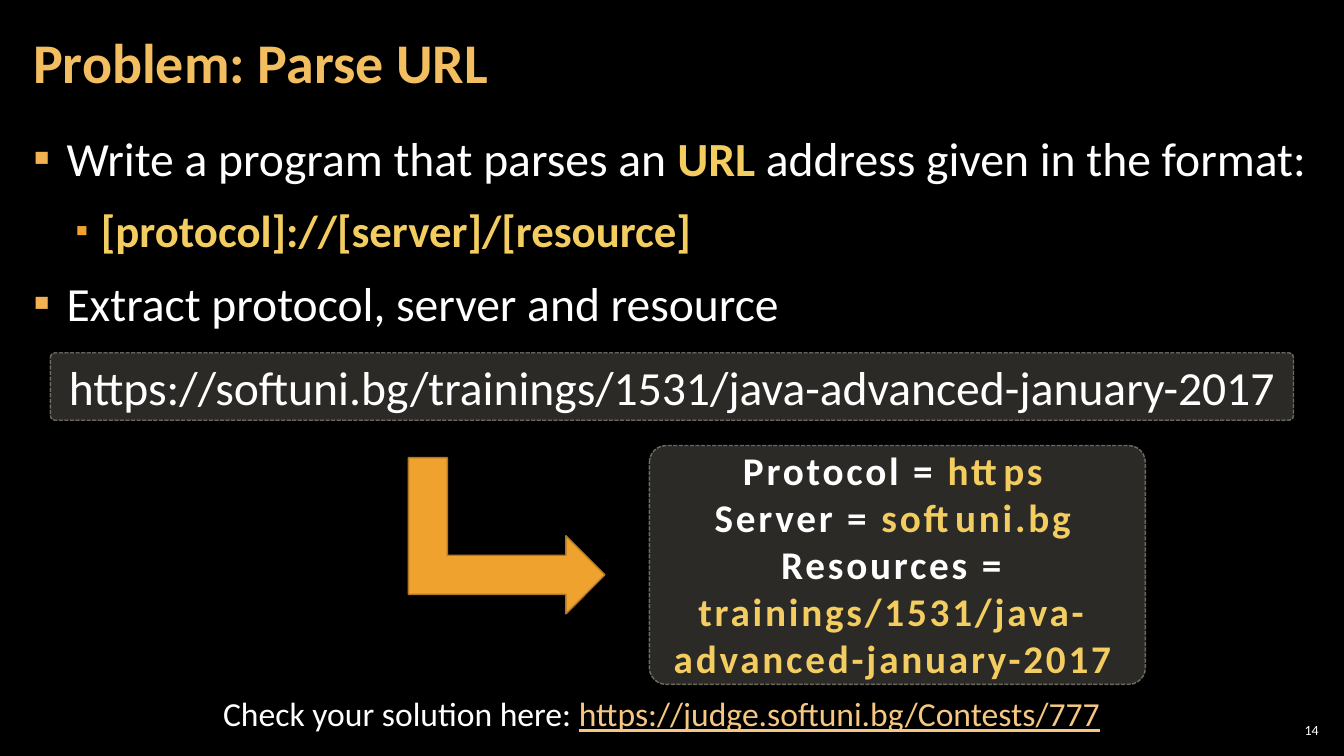
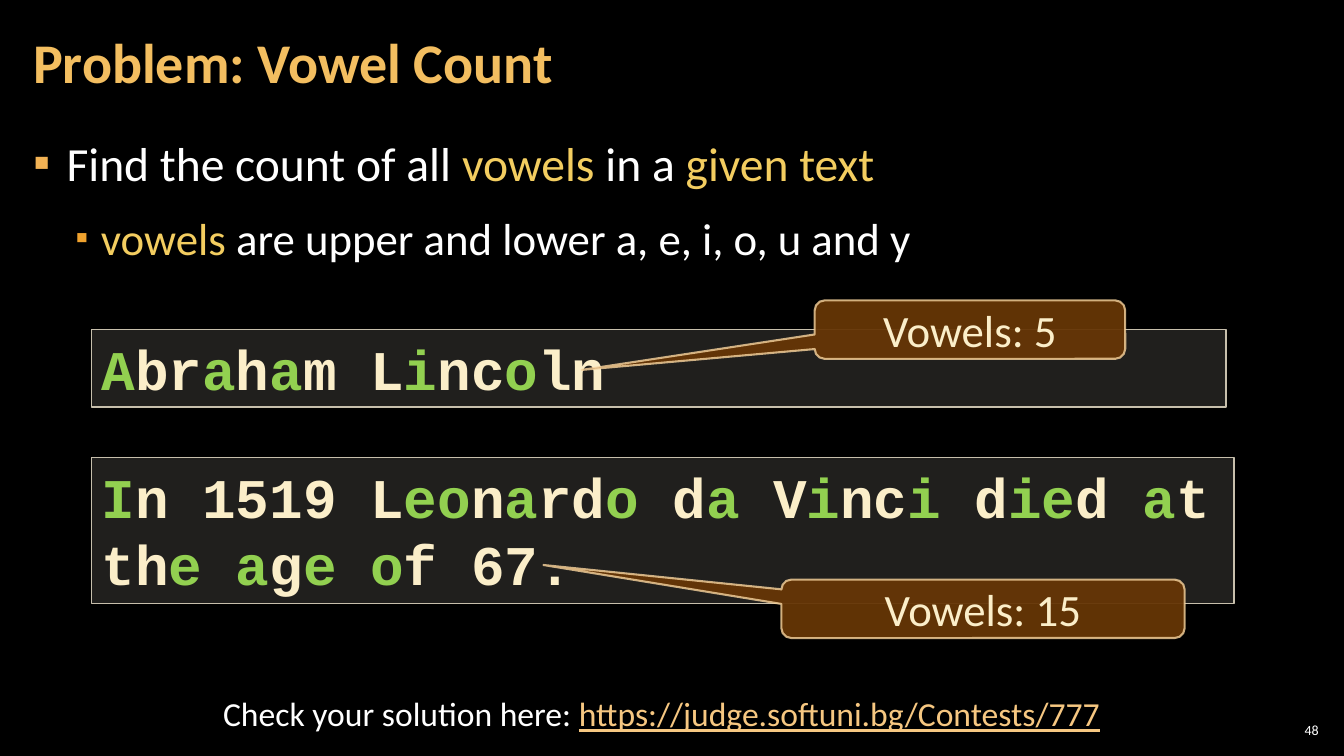
from itertools import groupby

from lxml import etree
from pptx import Presentation
from pptx.dml.color import RGBColor
from pptx.enum.dml import MSO_LINE_DASH_STYLE as DASH
from pptx.enum.shapes import MSO_SHAPE as SHAPE
from pptx.enum.text import MSO_ANCHOR as ANCHOR, MSO_AUTO_SIZE as FIT, PP_ALIGN as ALIGN
from pptx.oxml.ns import qn
from pptx.util import Inches, Pt

COLORS = {
    "back": "000000", "text": "FFFFFF", "title": "F3BE60", "accent": "F3CD60",
    "link": "F6C781", "bullet": "F2B254", "sub_bullet": "F0A22E",
    "panel": "D9D5C7", "panel_line": "C7BFAC", "arrow": "F0A22E",
    "arrow_line": "B27822", "code": "FBEEC9", "vowel": "92D050",
    "callout": "663606", "callout_line": "F8D49E",
}
SLIDES = [
    {"number": "14", "title": "Problem: Parse URL", "top": 1.24, "spacing": 1.0,
     "points": [(0, "Write a program that parses an *URL* address given in the format:", True),
                (1, "*[protocol]://[server]/[resource]*", True),
                (0, "Extract protocol, server and resource", False)]},
    {"number": "48", "title": "Problem: Vowel Count", "top": 1.26, "spacing": 1.05,
     "points": [(0, "Find the count of all *vowels* in a *given text*", False),
                (1, "*vowels *are upper and lower a, e, i, o, u and y", False)]},
]
LEVELS = [
    {"size": 34, "left": 0.33, "hang": 0.33, "color": "bullet", "scale": 100},
    {"size": 32, "left": 0.67, "hang": 0.25, "color": "sub_bullet", "scale": 80},
]
FOOTER = "Check your solution here: *https://judge.softuni.bg/Contests/777*"
URL = "https://softuni.bg/trainings/1531/java-advanced-january-2017"
PARTS = ["Protocol = *https*", "Server = *softuni.bg*",
         "Resources = *trainings/1531/java-advanced-january-2017*"]
URL_PANELS = [(0.5, 3.5, 12.33, 0.67), (6.44, 4.42, 4.92, 2.37)]
EXAMPLES = [
    ("Abraham Lincoln", (0.91, 3.27, 11.25, 0.77)),
    ("In 1519 Leonardo da Vinci died at the age of 67.", (0.91, 4.54, 11.33, 1.45)),
]
CALLOUTS = [
    ("Vowels: 5", (8.08, 2.98, 3.08, 0.58), (-1.25, 0.69, 0.17)),
    ("Vowels: 15", (7.75, 5.75, 4, 0.58), (-1.09, -0.75, 0.17)),
]


def rgb(name):
    return RGBColor.from_string(COLORS[name])


def paint(fill, color, alpha=100):
    fill.solid()
    fill.fore_color.rgb = rgb(color)
    if alpha < 100:
        clr = fill._xPr.find(".//" + qn("a:srgbClr"))
        etree.SubElement(clr, qn("a:alpha"), val=str(alpha * 1000))


def add_shape(s, kind, box, fill, line, adjust=()):
    sp = s.shapes.add_shape(kind, *map(Inches, box))
    sp.shadow.inherit = False
    paint(sp.fill, *fill)
    color, width, alpha = line
    paint(sp.line.fill, color, alpha)
    sp.line.width = Pt(width)
    for i, value in enumerate(adjust):
        sp.adjustments[i] = value
    return sp


def frame(sp, **settings):
    tf = sp.text_frame
    for key, value in {"word_wrap": True, **settings}.items():
        setattr(tf, key, value)
    return tf


def add_box(s, box, margins=(0.1, 0.05), **settings):
    side, end = map(Inches, margins)
    return frame(s.shapes.add_textbox(*map(Inches, box)), margin_left=side,
                 margin_right=side, margin_top=end, margin_bottom=end, **settings)


def marked(text, plain="text", accent="accent"):
    pieces = enumerate(text.split("*"))
    return [(piece, accent if i % 2 else plain) for i, piece in pieces if piece]


def vowels(text):
    groups = groupby(text, key=lambda ch: ch.lower() in "aeiouy")
    return [("".join(chars), "vowel" if hit else "code") for hit, chars in groups]


def write(p, runs, size, font="Calibri", bold=(), underline=(), align=ALIGN.LEFT, spacing=0):
    p.alignment = align
    for text, color in runs:
        r = p.add_run()
        r.text = text
        style = {"name": font, "size": Pt(size), "bold": color in bold,
                 "underline": color in underline}
        for key, value in style.items():
            setattr(r.font, key, value)
        r.font.color.rgb = rgb(color)
        if spacing:
            r._r.get_or_add_rPr().set("spc", str(spacing * 100))


def paragraphs(tf, count):
    return [tf.paragraphs[0]] + [tf.add_paragraph() for _ in range(count - 1)]


def add_bullet(p, level):
    pPr = p._p.get_or_add_pPr()
    pPr.set("marL", str(Inches(level["left"])))
    pPr.set("indent", str(-Inches(level["hang"])))
    clr = etree.SubElement(pPr, qn("a:buClr"))
    etree.SubElement(clr, qn("a:srgbClr"), val=COLORS[level["color"]])
    etree.SubElement(pPr, qn("a:buSzPct"), val=str(level["scale"] * 1000))
    etree.SubElement(pPr, qn("a:buFont"), typeface="Calibri")
    etree.SubElement(pPr, qn("a:buChar"), char="▪")


def add_points(s, page):
    tf = add_box(s, (0.21, page["top"], 12.91, 6.09), (0.12, 0.04))
    points = page["points"]
    for i, (p, (depth, text, strong)) in enumerate(zip(paragraphs(tf, len(points)), points)):
        level = LEVELS[depth]
        add_bullet(p, level)
        p.level = depth
        p.line_spacing = page["spacing"]
        p.space_before = Pt(6 if i else 0)
        p.space_after = Pt(6)
        write(p, marked(text), level["size"], bold=("accent",) if strong else ())


def add_page(prs, page):
    s = prs.slides.add_slide(prs.slide_layouts[6])
    paint(s.background.fill, "back")
    tf = add_box(s, (0.21, 0.04, 10.47, 1.21), (0.12, 0.04), vertical_anchor=ANCHOR.MIDDLE)
    tf.paragraphs[0].line_spacing = 0.9
    write(tf.paragraphs[0], [(page["title"], "title")], 40, bold=("title",))
    add_points(s, page)
    tf = add_box(s, (12.65, 7.14, 0.47, 0.21), (0.04, 0.04), vertical_anchor=ANCHOR.MIDDLE)
    write(tf.paragraphs[0], [(page["number"], "text")], 10, align=ALIGN.RIGHT)
    tf = add_box(s, (0, 6.83, 13.12, 0.5), auto_size=FIT.SHAPE_TO_FIT_TEXT)
    write(tf.paragraphs[0], marked(FOOTER, accent="link"), 24,
          underline=("link",), align=ALIGN.CENTER)
    return s


def add_url_example(s):
    for box in URL_PANELS:
        sp = add_shape(s, SHAPE.ROUNDED_RECTANGLE, box, ("panel", 20),
                       ("panel_line", 1, 50), (0.07,))
        sp.line.dash_style = DASH.SQUARE_DOT
    tf = add_box(s, URL_PANELS[0], auto_size=FIT.SHAPE_TO_FIT_TEXT)
    write(tf.paragraphs[0], [(URL, "text")], 34, align=ALIGN.CENTER)
    tf = add_box(s, (6.33, 4.38, 5.05, 2.46), auto_size=FIT.SHAPE_TO_FIT_TEXT)
    for p, text in zip(paragraphs(tf, len(PARTS)), PARTS):
        write(p, marked(text), 28, bold=("text", "accent"), align=ALIGN.CENTER, spacing=2)
    arrow = add_shape(s, SHAPE.BENT_UP_ARROW, (4.25, 4.34, 1.55, 1.95),
                      ("arrow",), ("arrow_line", 1, 100))
    arrow.rotation = 90


def add_vowel_examples(s):
    for text, box in EXAMPLES:
        sp = add_shape(s, SHAPE.RECTANGLE, box, ("panel", 15), ("panel_line", 1, 100))
        tf = frame(sp, vertical_anchor=ANCHOR.TOP, auto_size=FIT.SHAPE_TO_FIT_TEXT)
        write(tf.paragraphs[0], vowels(text), 40, "Courier New", bold=("code", "vowel"))
    for text, box, adjust in CALLOUTS:
        sp = add_shape(s, SHAPE.ROUNDED_RECTANGULAR_CALLOUT, box, ("callout", 95),
                       ("callout_line", 1.5, 80), adjust)
        tf = frame(sp, vertical_anchor=ANCHOR.MIDDLE)
        write(tf.paragraphs[0], [(text, "code")], 32, align=ALIGN.CENTER)


def main():
    prs = Presentation()
    prs.slide_width, prs.slide_height = Inches(13.33), Inches(7.5)
    for page, add_example in zip(SLIDES, (add_url_example, add_vowel_examples)):
        add_example(add_page(prs, page))
    prs.save("out.pptx")


if __name__ == "__main__":
    main()
